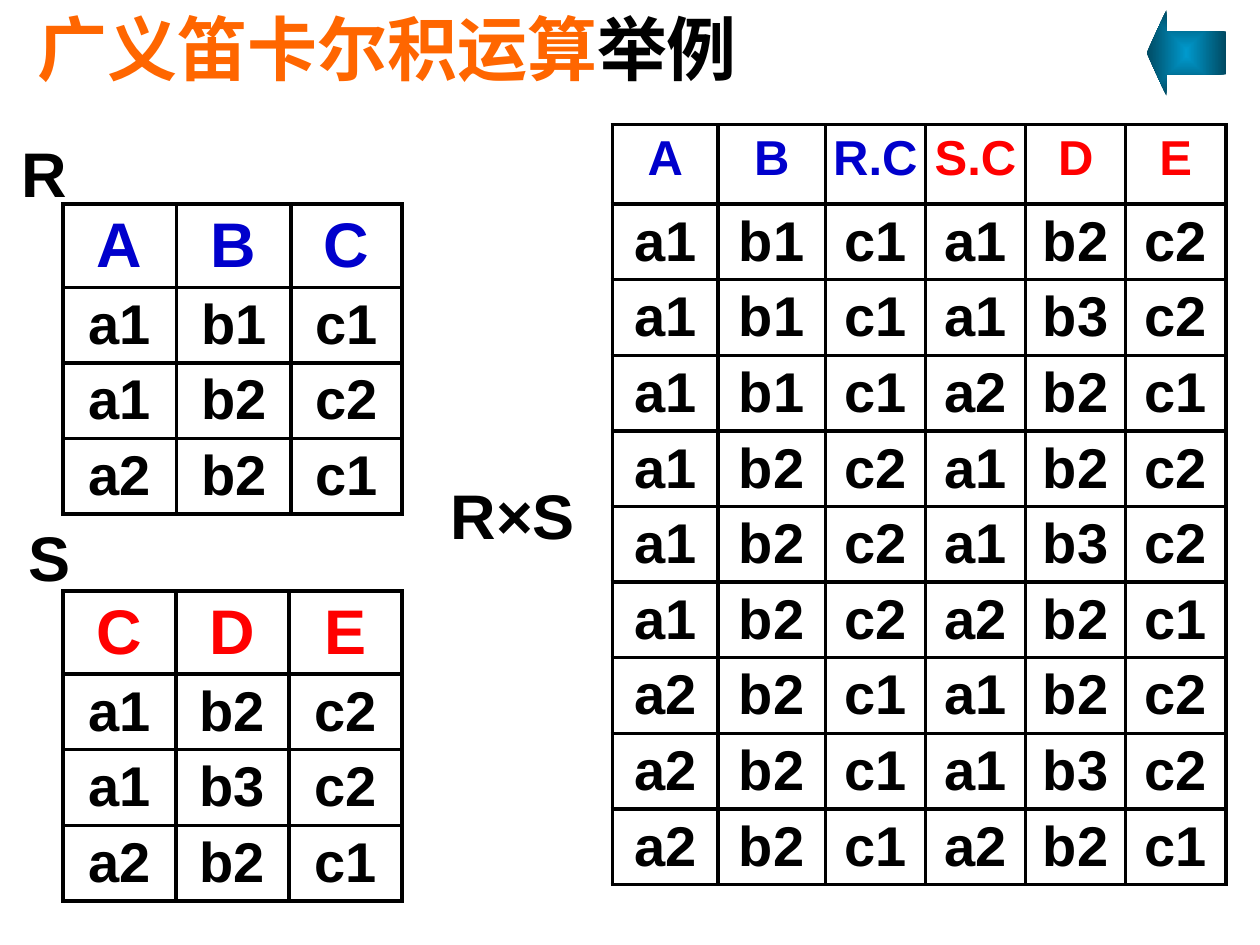
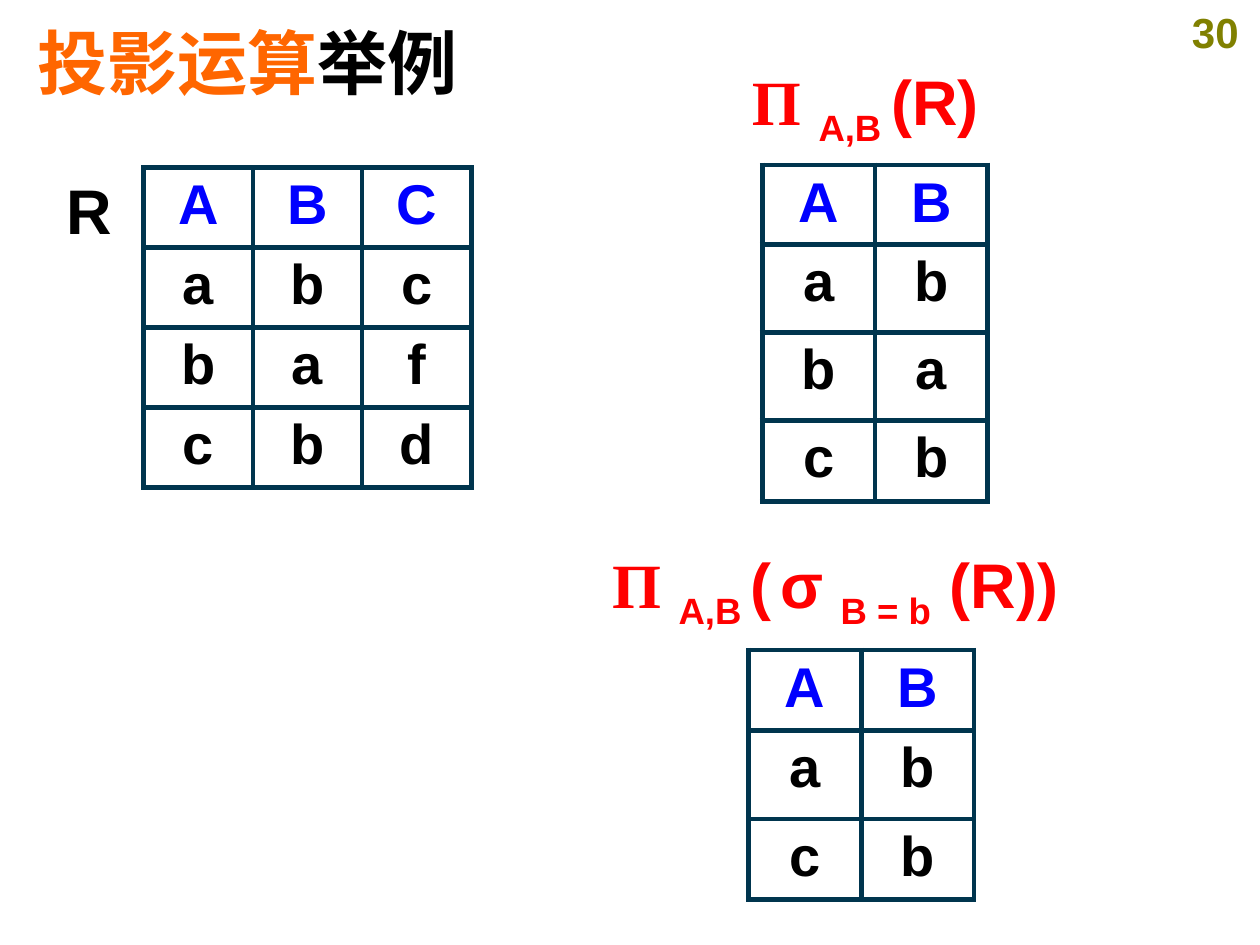
from itertools import product

from lxml import etree
from pptx import Presentation
from pptx.dml.color import RGBColor
from pptx.enum import shapes, text
from pptx.oxml import parse_xml
from pptx.oxml.ns import nsdecls, qn
from pptx.util import Inches, Pt

LATIN, SERIF, CJK = "Arial", "Times New Roman", "Noto Sans CJK SC"
BLACK, WHITE, RED, ORANGE = "000000", "FFFFFF", "FF0000", "FF6600"
NAVY, BLUE, OLIVE, TEAL = "0000CC", "0000FF", "808000", "00354E"
LEFT, CENTER, RIGHT = (text.PP_ALIGN.LEFT, text.PP_ALIGN.CENTER,
                       text.PP_ALIGN.RIGHT)
TOP, MIDDLE = text.MSO_ANCHOR.TOP, text.MSO_ANCHOR.MIDDLE
SUB = {"sub": True}


def rgb(value):
    return RGBColor.from_string(value)


def add_run(p, words, size=36, color=BLACK, font=LATIN, sub=False):
    r = p.add_run()
    r.text = words
    for name, value in {"size": Pt(size), "bold": True, "name": font}.items():
        setattr(r.font, name, value)
    r.font.color.rgb = rgb(color)
    rPr = r.font._element
    etree.SubElement(rPr, qn("a:ea")).set("typeface", CJK)
    if sub:
        rPr.set("baseline", "-25000")


def add_text(s, box, runs, align=LEFT, anchor=TOP, fill=None):
    """Place one paragraph of (words, format) runs in a box."""
    sp = s.shapes.add_textbox(*map(Inches, box))
    tf = sp.text_frame
    for name, value in {"word_wrap": True, "vertical_anchor": anchor}.items():
        setattr(tf, name, value)
    if fill:
        sp.fill.solid()
        sp.fill.fore_color.rgb = rgb(fill)
    p = tf.paragraphs[0]
    p.alignment = align
    for words, fmt in runs:
        add_run(p, words, **fmt)


def add_title(s, box, topic):
    add_text(s, box, [(topic, {"size": 40, "color": ORANGE}),
                      ("举例", {"size": 40})], anchor=MIDDLE)


def add_formula(s, box, runs, fill=None):
    """Red relational algebra expression that starts with the projection."""
    runs = [("П", {"font": SERIF}), (" ", {}), ("A,B", SUB)] + runs
    add_text(s, box, [(words, {"color": RED, **fmt}) for words, fmt in runs],
             fill=fill)


def add_borders(cell, color, width):
    tcPr = cell._tc.get_or_add_tcPr()
    for side in "LRTB":
        tcPr.append(parse_xml(
            f'<a:ln{side} {nsdecls("a")} w="{Pt(width)}"><a:solidFill>'
            f'<a:srgbClr val="{color}"/></a:solidFill></a:ln{side}>'))


def add_relation(s, at, cols, heights, rows, head_colors, head_size=32,
                 border=(BLACK, 2.25), fill=WHITE, side_margin=0.1):
    """Draw a relation: a coloured header row over black tuples."""
    frame = s.shapes.add_table(len(rows), len(cols), *map(Inches, at),
                               Inches(sum(cols)), Inches(sum(heights)))
    table = frame.table
    table.first_row = table.horz_banding = False
    for col, width in zip(table.columns, cols):
        col.width = Inches(width)
    for row, height in zip(table.rows, heights):
        row.height = Inches(height)
    for i, j in product(range(len(rows)), range(len(cols))):
        cell = table.cell(i, j)
        cell.margin_left = cell.margin_right = Inches(side_margin)
        cell.margin_top, cell.margin_bottom = Inches(0.05), 0
        add_borders(cell, *border)
        if fill:
            cell.fill.solid()
            cell.fill.fore_color.rgb = rgb(fill)
        else:
            cell.fill.background()
        p = cell.text_frame.paragraphs[0]
        p.alignment = CENTER
        if i:
            add_run(p, rows[i][j], 32)
        else:
            add_run(p, rows[i][j], head_size, head_colors[j])


def add_back_arrow(s, box):
    sp = s.shapes.add_shape(shapes.MSO_SHAPE.LEFT_ARROW, *map(Inches, box))
    sp.shadow.inherit = False
    sp.line.fill.background()
    sp.adjustments[0], sp.adjustments[1] = 0.5, 0.25
    sp.fill.gradient()
    for stop, color in zip(sp.fill.gradient_stops, ("0099CC", "004A63")):
        stop.color.rgb = rgb(color)
    # Shade from the centre outwards
    grad = sp._element.spPr.find(qn("a:gradFill"))
    lin = grad.find(qn("a:lin"))
    grad.replace(lin, parse_xml(
        f'<a:path {nsdecls("a")} path="rect">'
        '<a:fillToRect l="50000" t="50000" r="50000" b="50000"/></a:path>'))


def product_slide(s):
    r_rows = ["a1 b1 c1".split(), "a1 b2 c2".split(), "a2 b2 c1".split()]
    s_rows = ["a1 b2 c2".split(), "a1 b3 c2".split(), "a2 b2 c1".split()]
    add_title(s, (0.2, 0, 9.77, 0.76), "广义笛卡尔积运算")

    # Operands
    heights = [0.66] + [0.6] * 3
    add_relation(s, (0.5, 1.62), [0.9, 0.91, 0.88], heights,
                 [list("ABC")] + r_rows, [NAVY] * 3, 36)
    add_relation(s, (0.5, 4.69), [2.69 / 3] * 3, heights,
                 [list("CDE")] + s_rows, [RED] * 3, 36)

    # Relation names
    for name, box, align in (("R", (0.03, 1.07, 0.6, 0.59), RIGHT),
                             ("S", (0.06, 4.06, 0.6, 0.71), RIGHT),
                             ("R×S", (3.27, 3.67, 1.6, 0.83), CENTER)):
        add_text(s, box, [(name, {})], align, MIDDLE)

    # Every tuple of R joined to every tuple of S
    pairs = [a + b for a, b in product(r_rows, s_rows)]
    add_relation(s, (4.86, 0.99), [0.84, 0.85] + [3.18 / 4] * 4,
                 [0.63] + [0.6] * 9,
                 [["A", "B", "R.C", "S.C", "D", "E"]] + pairs,
                 [NAVY] * 3 + [RED] * 3, 28, side_margin=0)
    add_back_arrow(s, (9.1, 0.08, 0.63, 0.68))


def projection_slide(s):
    look = {"border": (TEAL, 3), "fill": None}
    add_text(s, (9.29, 0, 0.71, 0.5), [("30", {"size": 24, "color": OLIVE})],
             CENTER)
    add_title(s, (0.2, 0.21, 9.47, 0.55), "投影运算")

    # Source relation
    add_text(s, (0.43, 1.31, 0.6, 0.7), [("R", {})])
    add_relation(s, (1.14, 1.33), [2.6 / 3] * 3, [2.54 / 4] * 4,
                 ["ABC", "abc", "baf", "cbd"], [BLUE] * 3, **look)

    # Projection of R
    add_formula(s, (5.87, 0.45, 2.76, 0.87), [(" ", SUB), ("(R)", {})], WHITE)
    add_relation(s, (6.05, 1.31), [1.79 / 2] * 2, [0.63, 0.7, 0.7, 0.64],
                 ["AB", "ab", "ba", "cb"], [BLUE] * 2, **look)

    # Projection of a selection on R
    gap = (" ", {"size": 18})
    add_formula(s, (4.76, 4.28, 4.17, 0.87),
                [gap, ("(", {}), gap, ("σ ", {}), ("B = b ", SUB), gap,
                 ("(R))", {})])
    add_relation(s, (5.94, 5.16), [1.79 / 2] * 2, [0.64, 0.7, 0.64],
                 ["AB", "ab", "cb"], [BLUE] * 2, **look)


def main():
    prs = Presentation()
    prs.slide_width, prs.slide_height = Inches(10), Inches(7.5)
    for build in (product_slide, projection_slide):
        build(prs.slides.add_slide(prs.slide_layouts[6]))
    prs.save("out.pptx")


if __name__ == "__main__":
    main()
